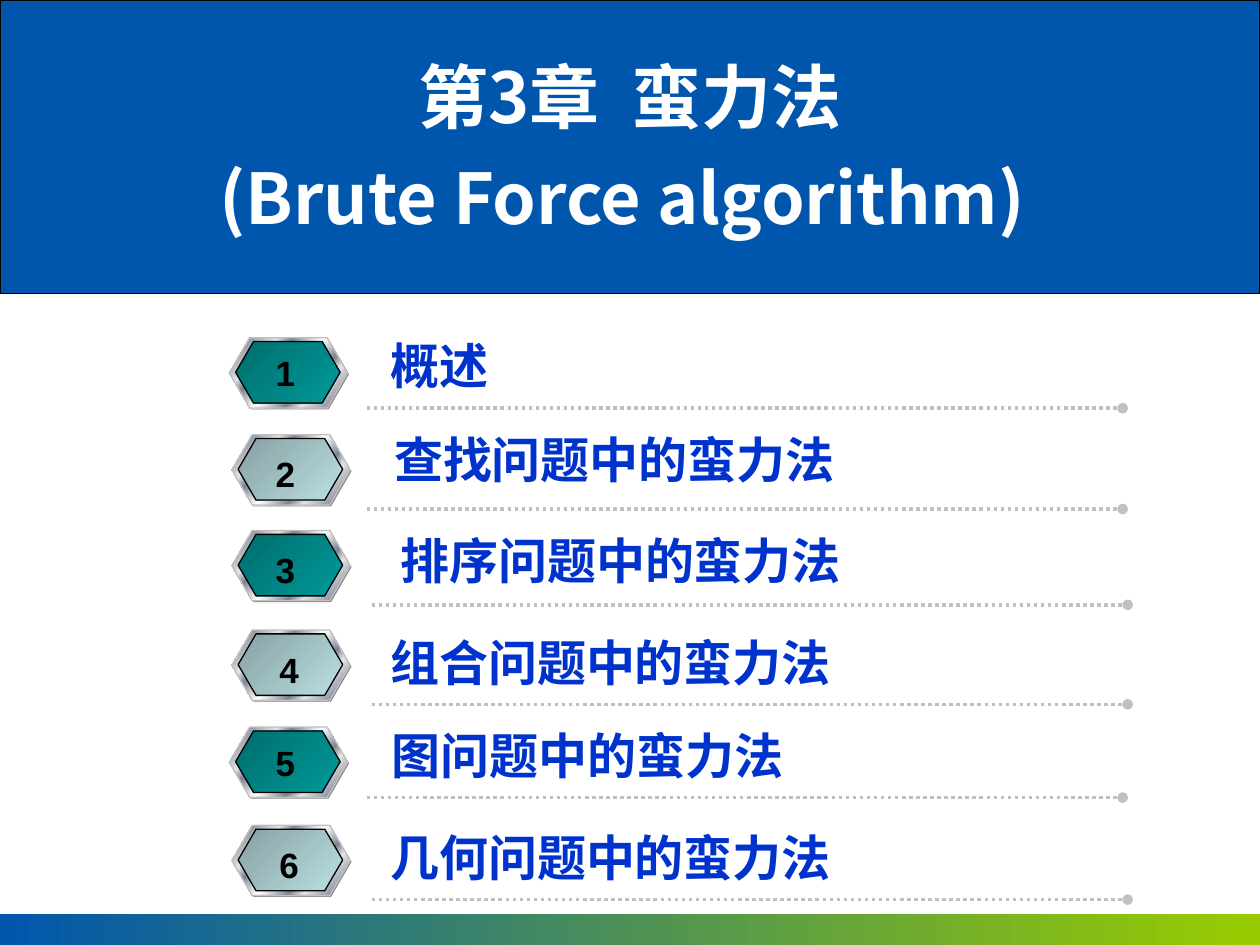
from dataclasses import dataclass

from lxml.etree import SubElement
from pptx import Presentation
from pptx.dml.color import RGBColor
from pptx.enum.dml import MSO_LINE_DASH_STYLE as Dash
from pptx.enum.shapes import MSO_CONNECTOR as Connector, MSO_SHAPE as Shape
from pptx.enum.text import MSO_ANCHOR as Anchor, MSO_AUTO_SIZE as AutoSize, PP_ALIGN as Align
from pptx.oxml.ns import qn
from pptx.util import Inches, Pt


@dataclass(frozen=True)
class Theme:
    latin: str = "Arial"
    cjk: str = "Noto Sans CJK SC"
    title_size: int = 40
    label_size: int = 28
    number_size: int = 20
    blue: str = "0056AC"
    lime: str = "99CC00"
    label: str = "0033CC"
    black: str = "000000"
    white: str = "FFFFFF"
    silver: str = "C0C0C0"
    shade: str = "808080"
    faces: tuple = (
        ((0, "006D6D"), (100, "009999")),
        ((0, "86A0A2"), (100, "BBE0E3")),
    )
    rim: tuple = (
        (0, "E6E6E6"), (8, "7D8496"), (26, "E6E6E6"), (34, "7D8496"),
        (46, "E6E6E6"), (50, "FFFFFF"), (54, "E6E6E6"), (66, "7D8496"),
        (74, "E6E6E6"), (92, "7D8496"), (100, "E6E6E6"),
    )


@dataclass(frozen=True)
class Chapter:
    label: str
    badge_at: tuple
    number_left: float
    label_at: tuple
    rule_at: tuple


THEME = Theme()
CHAPTERS = (
    Chapter("概述", (1.82, 2.68), 2.09, (3, 2.61), (2.91, 3.24)),
    Chapter("查找问题中的蛮力法", (1.84, 3.45), 2.09, (3.03, 3.36), (2.91, 4.04)),
    Chapter("排序问题中的蛮力法", (1.84, 4.21), 2.09, (3.08, 4.16), (2.95, 4.8)),
    Chapter("组合问题中的蛮力法", (1.84, 5), 2.12, (3, 4.97), (2.95, 5.59)),
    Chapter("图问题中的蛮力法", (1.82, 5.77), 2.09, (3.01, 5.71), (2.91, 6.33)),
    Chapter("几何问题中的蛮力法", (1.84, 6.55), 2.12, (3, 6.52), (2.95, 7.14)),
)


def rgb(color):
    return RGBColor.from_string(color)


def set_gradient(shape, stops, angle):
    shape.fill.gradient()
    shape.fill.gradient_angle = -angle % 360
    stop_list = shape._element.spPr.find(qn("a:gradFill")).find(qn("a:gsLst"))
    for stop in list(stop_list):
        stop_list.remove(stop)
    for position, color in stops:
        stop = SubElement(stop_list, qn("a:gs"), pos=str(position * 1000))
        SubElement(stop, qn("a:srgbClr"), val=color)


def add_panel(slide, kind, left, top, width, height, fill, line=None, angle=0):
    panel = slide.shapes.add_shape(
        kind, Inches(left), Inches(top), Inches(width), Inches(height))
    panel.shadow.inherit = False
    if isinstance(fill, str):
        panel.fill.solid()
        panel.fill.fore_color.rgb = rgb(fill)
    else:
        set_gradient(panel, fill, angle)
    if line:
        panel.line.color.rgb = rgb(line)
        panel.line.width = Pt(0.75)
    else:
        panel.line.fill.background()
    return panel


def add_hexagon(slide, left, top, width, height, fill, line=None):
    hexagon = add_panel(slide, Shape.HEXAGON, left, top, width, height, fill, line, 45)
    hexagon.adjustments[0] = 0.29
    hexagon.adjustments[1] = 1.15


def add_badge(slide, left, top, face):
    add_hexagon(slide, left + 0.01, top + 0.01, 0.94, 0.56, THEME.shade)
    add_hexagon(slide, left, top, 0.94, 0.56, THEME.rim, THEME.silver)
    add_hexagon(slide, left + 0.05, top + 0.03, 0.83, 0.49, face, THEME.black)


def style_paragraph(paragraph, font_name, size, color):
    font = paragraph.font
    font.name, font.size, font.bold = font_name, Pt(size), True
    font.color.rgb = rgb(color)
    for run in paragraph.runs:
        SubElement(run._r.get_or_add_rPr(), qn("a:ea"), typeface=THEME.cjk)


def add_text(slide, left, top, width, height, text, size, color):
    box = slide.shapes.add_textbox(
        Inches(left), Inches(top), Inches(width), Inches(height))
    frame = box.text_frame
    frame.word_wrap = True
    frame.vertical_anchor = Anchor.MIDDLE
    frame.text = text
    style_paragraph(frame.paragraphs[0], THEME.latin, size, color)


def add_rule(slide, left, top):
    rule = slide.shapes.add_connector(
        Connector.STRAIGHT, Inches(left), Inches(top), Inches(left + 6), Inches(top))
    rule.line.color.rgb = rgb(THEME.silver)
    rule.line.width = Pt(2)
    rule.line.dash_style = Dash.ROUND_DOT
    SubElement(rule.line._get_or_add_ln(), qn("a:tailEnd"), type="oval")
    SubElement(rule._element.spPr, qn("a:effectLst"))


def add_chapter(slide, number, chapter):
    add_badge(slide, *chapter.badge_at, THEME.faces[(number - 1) % 2])
    add_rule(slide, *chapter.rule_at)
    number_top = chapter.rule_at[1] - 0.5
    add_text(slide, chapter.number_left, number_top, 0.44, 0.44,
             str(number), THEME.number_size, THEME.black)
    add_text(slide, *chapter.label_at, 5.04, 0.57,
             chapter.label, THEME.label_size, THEME.label)


def place_title(slide, text):
    title = slide.shapes.title
    title.left, title.top = Inches(0.12), Inches(0.33)
    title.width, title.height = Inches(9.76), Inches(1.78)
    frame = title.text_frame
    frame.text = text
    frame.auto_size = AutoSize.NONE
    frame.vertical_anchor = Anchor.MIDDLE
    frame.margin_top, frame.margin_bottom = 0, Inches(0.12)
    for index, paragraph in enumerate(frame.paragraphs):
        paragraph.alignment = Align.CENTER
        paragraph.space_before = Pt(10 if index else 0)
        style_paragraph(paragraph, THEME.cjk, THEME.title_size, THEME.white)
    slide.shapes._spTree.append(title._element)


def main():
    deck = Presentation()
    deck.slide_width, deck.slide_height = Inches(10), Inches(7.5)
    slide = deck.slides.add_slide(deck.slide_layouts[5])
    add_panel(slide, Shape.RECTANGLE, 0, 7.25, 10, 0.25,
              ((0, THEME.blue), (100, THEME.lime)))
    add_panel(slide, Shape.RECTANGLE, 0, 0, 10, 2.33, THEME.blue, THEME.black)
    for number, chapter in enumerate(CHAPTERS, 1):
        add_chapter(slide, number, chapter)
    place_title(slide, "第3章  蛮力法\n(Brute Force algorithm) ")
    deck.save("out.pptx")


if __name__ == "__main__":
    main()
